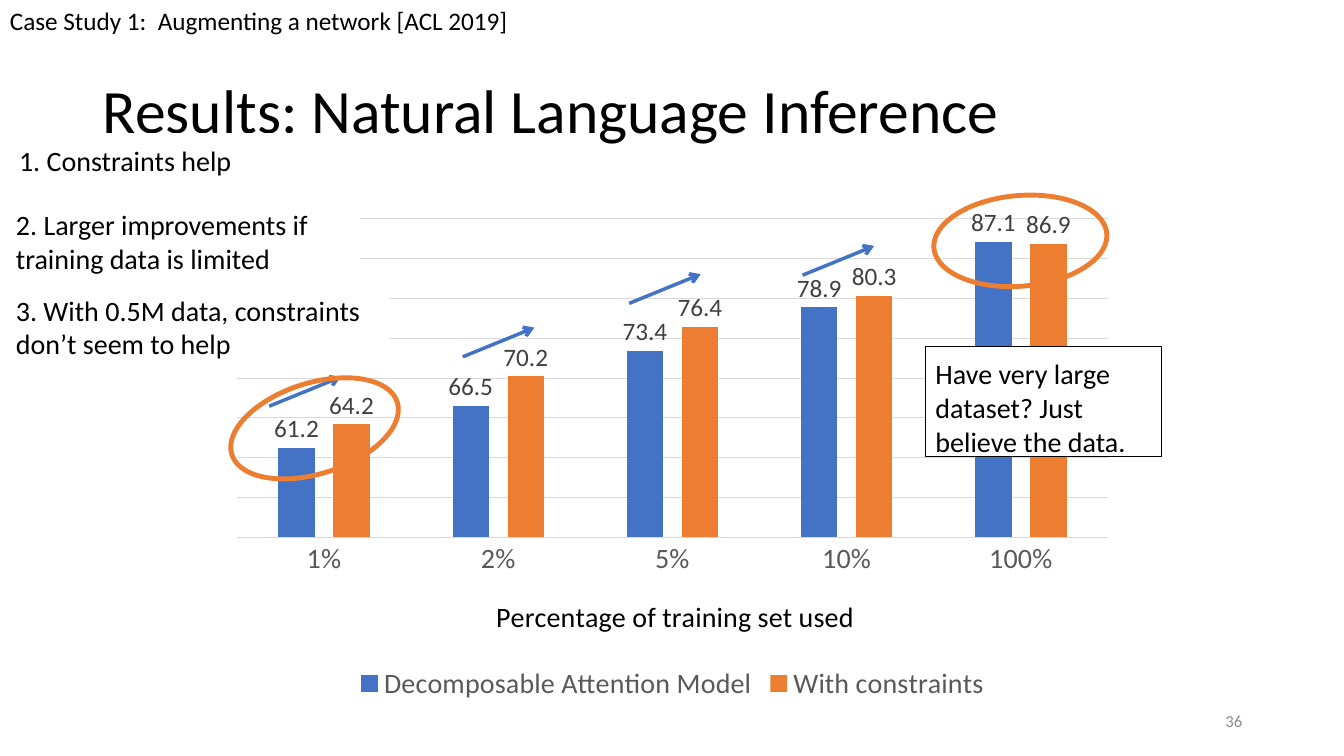
from lxml import etree
from pptx import Presentation
from pptx.chart.data import CategoryChartData
from pptx.dml.color import RGBColor
from pptx.enum.chart import XL_CHART_TYPE, XL_LABEL_POSITION, XL_LEGEND_POSITION, XL_TICK_MARK
from pptx.enum.shapes import MSO_CONNECTOR, MSO_SHAPE
from pptx.enum.text import MSO_ANCHOR, MSO_AUTO_SIZE, PP_ALIGN
from pptx.oxml import parse_xml
from pptx.oxml.ns import nsdecls, qn
from pptx.util import Inches, Pt

FONT = "Calibri"
BLACK, WHITE, BLUE, ORANGE = "000000", "FFFFFF", "4472C4", "ED7D31"
GRID, AXIS_GRAY, LABEL_GRAY, NUMBER_GRAY = "D9D9D9", "595959", "404040", "8C8C8C"

TITLE = "Results: Natural Language Inference"
CASE_STUDY = "Case Study 1:  Augmenting a network [ACL 2019]"
PAGE_NUMBER = "36"
AXIS_TITLE = "Percentage of training set used"
TRAINING_SHARES = ["1%", "2%", "5%", "10%", "100%"]
ACCURACY = [
    ("Decomposable Attention Model", [61.2, 66.5, 73.4, 78.9, 87.1], BLUE),
    ("With constraints", [64.2, 70.2, 76.4, 80.3, 86.9], ORANGE),
]
FINDINGS = [
    ("1. Constraints help", (0.09, 1.32, 3.15, 0.45), 0.1, None),
    ("2. Larger improvements if training data is limited", (0.06, 1.96, 3.51, 0.73), 0.1, None),
    ("3. With 0.5M data, constraints don’t seem to help", (0.06, 2.86, 3.8, 0.77), 0.05, None),
    ("Have very large dataset? Just believe the data.", (9.18, 3.44, 2.34, 1.09), 0.1, BLACK),
]
ARROW_STARTS = [(2.67, 4.03), (4.59, 3.54), (6.24, 3.01), (7.96, 2.73)]
ARROW_RUN, ARROW_RISE = 0.71, 0.29
HIGHLIGHTS = [(2.26, 3.8, 342.4), (9.26, 1.94, 355.2)]
HIGHLIGHT_SIZE = (1.72, 0.9)
CHART_BOX = (2.17, 2.06, 9, 4.95)
PLOT_SHARES = {"x": 0.02, "y": 0.02, "w": 0.96, "h": 0.64}
AXIS_TITLE_SHARES = {"x": 0.3, "y": 0.77}


def color(value):
    return RGBColor.from_string(value)


def inches(values):
    return [Inches(value) for value in values]


def style_font(font, size, value):
    font.name = FONT
    font.size = Pt(size)
    font.color.rgb = color(value)


def style_line(line, value, width):
    line.color.rgb = color(value)
    line.width = Pt(width)


def write(shape, text, size, value=BLACK, align=PP_ALIGN.LEFT, anchor=MSO_ANCHOR.TOP, wrap=True):
    frame = shape.text_frame
    frame.text = text
    frame.word_wrap = wrap
    frame.auto_size = MSO_AUTO_SIZE.NONE
    frame.vertical_anchor = anchor
    paragraph = frame.paragraphs[0]
    paragraph.alignment = align
    style_font(paragraph.font, size, value)
    return paragraph


def manual_layout(shares, inner=False):
    modes = "".join(f'<c:{side}Mode val="edge"/>' for side in "xy")
    sizes = "".join(f'<c:{side} val="{share}"/>' for side, share in shares.items())
    target = '<c:layoutTarget val="inner"/>' if inner else ""
    return parse_xml(f'<c:layout {nsdecls("c")}><c:manualLayout>{target}{modes}{sizes}'
                     "</c:manualLayout></c:layout>")


def place(element, layout, position):
    for old in element.findall(qn("c:layout")):
        element.remove(old)
    element.insert(position, layout)


def add_accuracy_chart(slide):
    data = CategoryChartData(number_format="0.0")
    data.categories = TRAINING_SHARES
    for name, values, _ in ACCURACY:
        data.add_series(name, values)
    chart = slide.shapes.add_chart(XL_CHART_TYPE.COLUMN_CLUSTERED, *inches(CHART_BOX), data).chart
    style_font(chart.font, 10, BLACK)
    chart.has_title = False

    chart.has_legend = True
    chart.legend.position = XL_LEGEND_POSITION.BOTTOM
    chart.legend.include_in_layout = False
    style_font(chart.legend.font, 20, AXIS_GRAY)

    value_axis = chart.value_axis
    value_axis.visible = False
    value_axis.minimum_scale, value_axis.maximum_scale, value_axis.major_unit = 50, 90, 5
    style_line(value_axis.major_gridlines.format.line, GRID, 0.75)

    category_axis = chart.category_axis
    category_axis.major_tick_mark = XL_TICK_MARK.NONE
    style_font(category_axis.tick_labels.font, 20, AXIS_GRAY)
    style_line(category_axis.format.line, GRID, 0.75)
    axis_title = category_axis.axis_title
    axis_title.text_frame.text = AXIS_TITLE
    title_font = axis_title.text_frame.paragraphs[0].font
    style_font(title_font, 20, BLACK)
    title_font.bold = False

    plot = chart.plots[0]
    plot.gap_width, plot.overlap = 227, -51
    plot.vary_by_categories = False
    for series, (_, _, fill) in zip(plot.series, ACCURACY):
        series.format.fill.solid()
        series.format.fill.fore_color.rgb = color(fill)
        labels = series.data_labels
        labels.show_value = True
        labels.position = XL_LABEL_POSITION.OUTSIDE_END
        labels.number_format, labels.number_format_is_linked = "0.0", False
        style_font(labels.font, 18, LABEL_GRAY)

    plot_area = chart.element.find(".//" + qn("c:plotArea"))
    place(plot_area, manual_layout(PLOT_SHARES, inner=True), 0)
    place(plot_area.find(".//" + qn("c:title")), manual_layout(AXIS_TITLE_SHARES), 1)


def add_arrow(slide, left, bottom):
    ends = inches((left, bottom, left + ARROW_RUN, bottom - ARROW_RISE))
    arrow = slide.shapes.add_connector(MSO_CONNECTOR.STRAIGHT, *ends)
    style_line(arrow.line, BLUE, 2.5)
    etree.SubElement(arrow.line._get_or_add_ln(), qn("a:tailEnd"), type="arrow")
    etree.SubElement(arrow.element.spPr, qn("a:effectLst"))


def add_finding(slide, text, box, inset, border):
    shape = slide.shapes.add_shape(MSO_SHAPE.RECTANGLE, *inches(box))
    shape.shadow.inherit = False
    shape.fill.solid()
    shape.fill.fore_color.rgb = color(WHITE)
    if border:
        style_line(shape.line, border, 0.75)
    else:
        shape.line.fill.background()
    write(shape, text, 20)
    frame = shape.text_frame
    frame.margin_left = frame.margin_right = Inches(0.1)
    frame.margin_top = frame.margin_bottom = Inches(inset)


def add_highlight(slide, left, top, rotation):
    ellipse = slide.shapes.add_shape(MSO_SHAPE.OVAL, *inches((left, top, *HIGHLIGHT_SIZE)))
    ellipse.shadow.inherit = False
    ellipse.rotation = rotation
    ellipse.fill.background()
    style_line(ellipse.line, ORANGE, 3.5)


def main():
    presentation = Presentation()
    presentation.slide_width, presentation.slide_height = inches((13.33, 7.5))
    slide = presentation.slides.add_slide(presentation.slide_layouts[5])

    title = slide.shapes.title
    title.left, title.top, title.width, title.height = inches((0.92, 0.4, 11.5, 1.45))
    write(title, TITLE, 44, anchor=MSO_ANCHOR.MIDDLE).line_spacing = 0.9

    add_accuracy_chart(slide)
    for start in ARROW_STARTS:
        add_arrow(slide, *start)
    for finding in FINDINGS:
        add_finding(slide, *finding)
    for highlight in HIGHLIGHTS:
        add_highlight(slide, *highlight)

    write(slide.shapes.add_textbox(*inches((0, 0, 5.2, 0.4))), CASE_STUDY, 18, wrap=False)
    write(slide.shapes.add_textbox(*inches((9.42, 6.95, 3, 0.4))), PAGE_NUMBER, 12, NUMBER_GRAY,
          PP_ALIGN.RIGHT, MSO_ANCHOR.MIDDLE)
    presentation.save("out.pptx")


if __name__ == "__main__":
    main()
